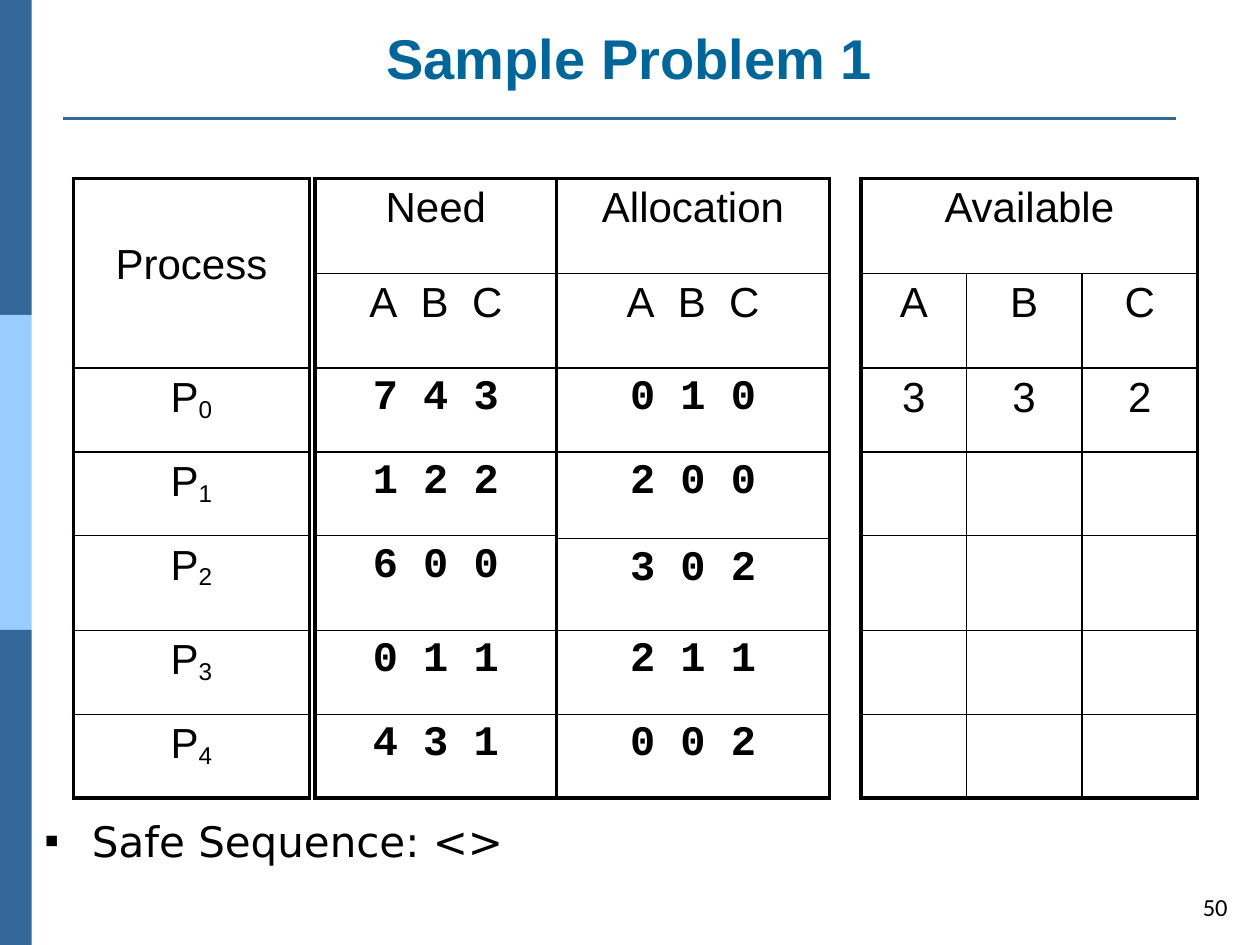
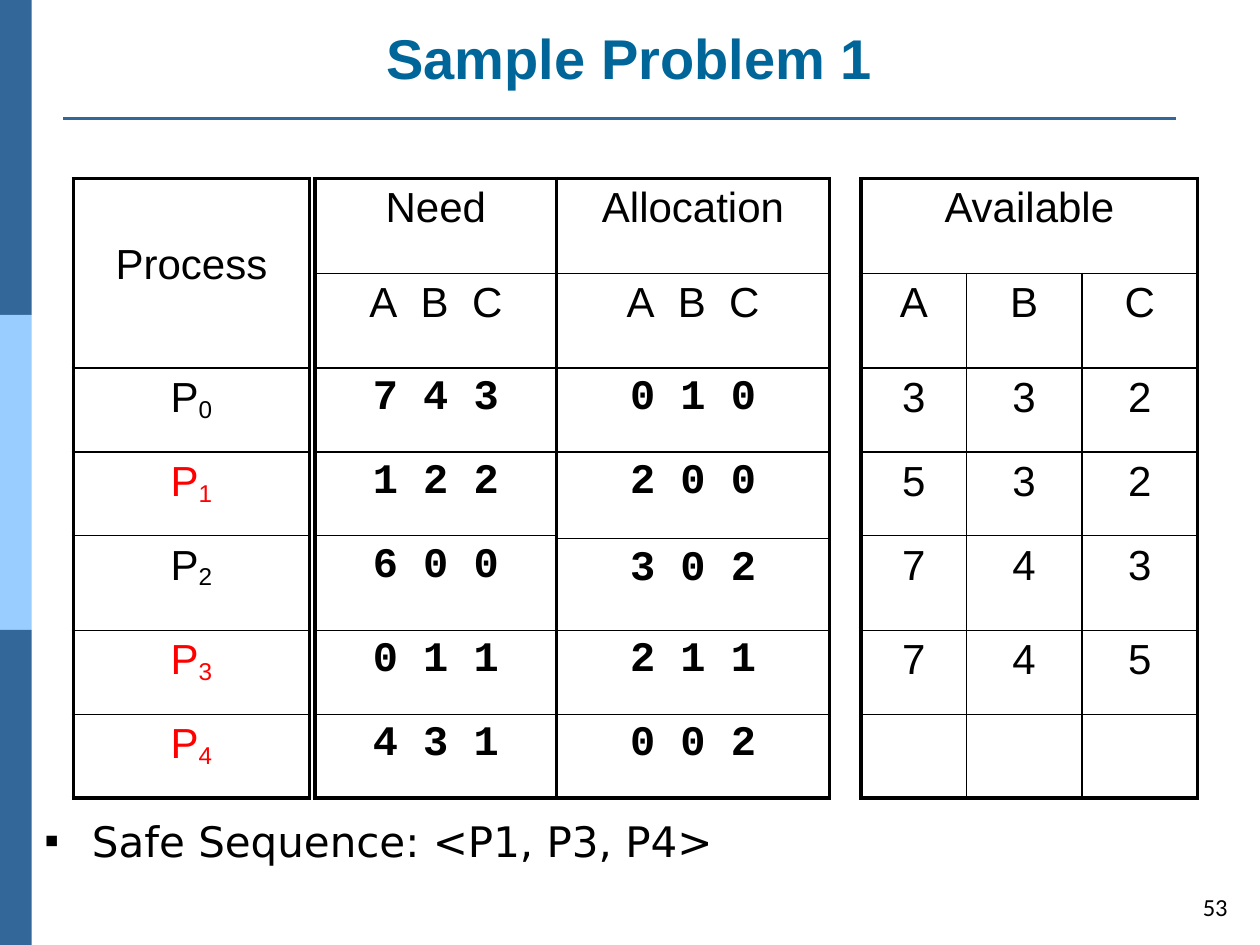
from dataclasses import dataclass

from lxml.etree import SubElement
from pptx import Presentation
from pptx.dml.color import RGBColor
from pptx.enum.shapes import MSO_CONNECTOR, MSO_SHAPE
from pptx.enum.text import MSO_ANCHOR, MSO_AUTO_SIZE, PP_ALIGN
from pptx.oxml.ns import qn
from pptx.util import Cm, Pt

# Shared style
BLACK = RGBColor(0x00, 0x00, 0x00)
RED = RGBColor(0xFF, 0x00, 0x00)
TITLE_BLUE = RGBColor(0x00, 0x66, 0x99)
BAND_DARK = RGBColor(0x33, 0x66, 0x99)
BAND_LIGHT = RGBColor(0x99, 0xCC, 0xFF)
THICK, THIN = Pt(2.25), Pt(1)

# Layout in centimetres: left, top, width, height
SLIDE_SIZE = (25.4, 19.05)
TITLE_BOX = (0.84, 0.1, 23.7, 1.86)
SEQUENCE_BOX = (0.64, 16.51, 24.33, 2.11)
NUMBER_BOX = (23.85, 17.75, 1.15, 1.04)
TABLE_TOP = 3.6
ROW_HEIGHTS = [1.91, 1.91, 1.69, 1.69, 1.91, 1.69, 1.69]
PROCESS_HEIGHTS = [sum(ROW_HEIGHTS[:2]), *ROW_HEIGHTS[2:]]
ALLOCATION_HEIGHTS = [*ROW_HEIGHTS[:3], 1.75, 1.85, *ROW_HEIGHTS[5:]]

# Problem data
NEED = ["7 4 3", "1 2 2", "6 0 0", "0 1 1", "4 3 1"]
ALLOCATION = ["0 1 0", "2 0 0", "3 0 2", "2 1 1", "0 0 2"]
PROCESS_COUNT = len(NEED)


@dataclass
class TextRun:
    text: str
    size: float = 24
    name: str = "Arial"
    color: RGBColor = BLACK
    bold: bool = False
    baseline: int = 0
    spacing: int = 0


def cm_box(box):
    return [Cm(value) for value in box]


def write(paragraph, *text_runs, align=PP_ALIGN.CENTER):
    paragraph.alignment = align
    for item in text_runs:
        run = paragraph.add_run()
        run.text = item.text
        font = run.font
        font.size, font.name, font.bold = Pt(item.size), item.name, item.bold
        font.color.rgb = item.color
        properties = run._r.get_or_add_rPr()
        if item.baseline:
            properties.set("baseline", str(item.baseline))
        if item.spacing:
            properties.set("spc", str(item.spacing))


# Side bands and the rule under the title
def add_frame(slide):
    band_height = SLIDE_SIZE[1] / 3
    for index, color in enumerate([BAND_DARK, BAND_LIGHT, BAND_DARK]):
        band = slide.shapes.add_shape(
            MSO_SHAPE.RECTANGLE, *cm_box((0, index * band_height, 0.64, band_height)))
        band.shadow.inherit = False
        band.fill.solid()
        band.fill.fore_color.rgb = color
        band.line.fill.background()
    rule = slide.shapes.add_connector(
        MSO_CONNECTOR.STRAIGHT, *cm_box((1.27, 2.39, 23.7, 2.39)))
    rule.line.color.rgb = BAND_DARK
    rule.line.width = Pt(1.5)
    SubElement(rule._element.spPr, qn("a:effectLst"))


def place_frame(shape, box, anchor):
    shape.left, shape.top, shape.width, shape.height = cm_box(box)
    frame = shape.text_frame
    frame.word_wrap = True
    frame.auto_size = MSO_AUTO_SIZE.NONE
    frame.vertical_anchor = anchor
    return frame.paragraphs[0]


def add_title(slide, box, text):
    paragraph = place_frame(slide.shapes.title, box, MSO_ANCHOR.BOTTOM)
    write(paragraph, TextRun(text, 32, color=TITLE_BLUE, bold=True))


def add_sequence(slide, box, names):
    paragraph = place_frame(slide.placeholders[1], box, MSO_ANCHOR.TOP)
    properties = paragraph._p.get_or_add_pPr()
    properties.set("marL", str(Cm(0.96)))
    properties.set("indent", str(-Cm(0.96)))
    SubElement(properties, qn("a:buChar")).set("char", "▪")
    paragraph.line_spacing = 0.8
    paragraph.space_before = Pt(0)
    text = f"Safe Sequence: <{', '.join(names)}>"
    write(paragraph, TextRun(text, name="DejaVu Sans"), align=PP_ALIGN.LEFT)


def add_number(slide, box, number):
    shape = slide.shapes.add_textbox(*cm_box(box))
    paragraph = place_frame(shape, box, MSO_ANCHOR.MIDDLE)
    write(paragraph, TextRun(str(number), 14, "Calibri"), align=PP_ALIGN.RIGHT)


# Tables: thick outside, thin inside
def set_borders(cell, **widths):
    properties = cell._tc.get_or_add_tcPr()
    for side in "LRTB":
        line = SubElement(properties, qn(f"a:ln{side}"))
        line.set("w", str(widths[side]))
        fill = SubElement(line, qn("a:solidFill"))
        SubElement(fill, qn("a:srgbClr")).set("val", str(BLACK))


def add_grid(slide, left, column_widths, row_heights, rows, merge_header=False):
    box = (left, TABLE_TOP, sum(column_widths), sum(row_heights))
    table = slide.shapes.add_table(
        len(row_heights), len(column_widths), *cm_box(box)).table
    table.first_row = table.horz_banding = False
    for column, width in zip(table.columns, column_widths):
        column.width = Cm(width)
    for row, height in zip(table.rows, row_heights):
        row.height = Cm(height)
    last_row, last_column = len(row_heights) - 1, len(column_widths) - 1
    if merge_header:
        table.cell(0, 0).merge(table.cell(0, last_column))

    for r, row in enumerate(rows):
        for c, text_runs in enumerate(row):
            cell = table.cell(r, c)
            right_column = c + cell.span_width - 1 if cell.is_merge_origin else c
            set_borders(
                cell,
                L=THICK if c == 0 else THIN,
                R=THICK if right_column == last_column else THIN,
                T=THICK if r == 0 else THIN,
                B=THICK if r == last_row else THIN)
            cell.fill.background()
            write(cell.text_frame.paragraphs[0], *text_runs)
    return table


def add_process_table(slide, left, width, done):
    rows = [[[TextRun("Process")]]]
    for index in range(PROCESS_COUNT):
        color = RED if f"P{index}" in done else BLACK
        rows.append([[TextRun("P", color=color),
                      TextRun(str(index), color=color, baseline=-14000)]])
    table = add_grid(slide, left, [width], PROCESS_HEIGHTS, rows)
    table.cell(0, 0).margin_top = Cm(1.26)


def add_resource_table(slide, left, width, row_heights, heading, values):
    gap = TextRun(" ", spacing=667)
    letters = [TextRun("A"), gap, TextRun("B"), gap, TextRun("C")]
    rows = [[[TextRun(heading)]], [letters]]
    rows += [[[TextRun(value, name="Courier New", bold=True)]] for value in values]
    add_grid(slide, left, [width], row_heights, rows)


def add_available_table(slide, left, column_widths, available):
    rows = [[[TextRun("Available")]]]
    lines = ["ABC", *available]
    rows += [[[TextRun(character)] for character in line] for line in lines]
    rows += [[[], [], []] for _ in range(PROCESS_COUNT - len(available))]
    add_grid(slide, left, column_widths, ROW_HEIGHTS, rows, merge_header=True)


def add_problem_slide(presentation, number, sequence, available):
    slide = presentation.slides.add_slide(presentation.slide_layouts[1])
    add_frame(slide)
    add_title(slide, TITLE_BOX, "Sample Problem 1")
    add_sequence(slide, SEQUENCE_BOX, sequence)
    add_process_table(slide, 1.48, 4.76, sequence)
    add_available_table(slide, 17.36, [2.12, 2.33, 2.33], available)
    add_resource_table(slide, 11.22, 5.5, ALLOCATION_HEIGHTS, "Allocation", ALLOCATION)
    add_resource_table(slide, 6.35, 4.87, ROW_HEIGHTS, "Need", NEED)
    add_number(slide, NUMBER_BOX, number)


def main():
    presentation = Presentation()
    presentation.slide_width, presentation.slide_height = cm_box(SLIDE_SIZE)
    add_problem_slide(presentation, 50, [], ["332"])
    add_problem_slide(presentation, 53, ["P1", "P3", "P4"],
                      ["332", "532", "743", "745"])
    presentation.save("out.pptx")


if __name__ == "__main__":
    main()
